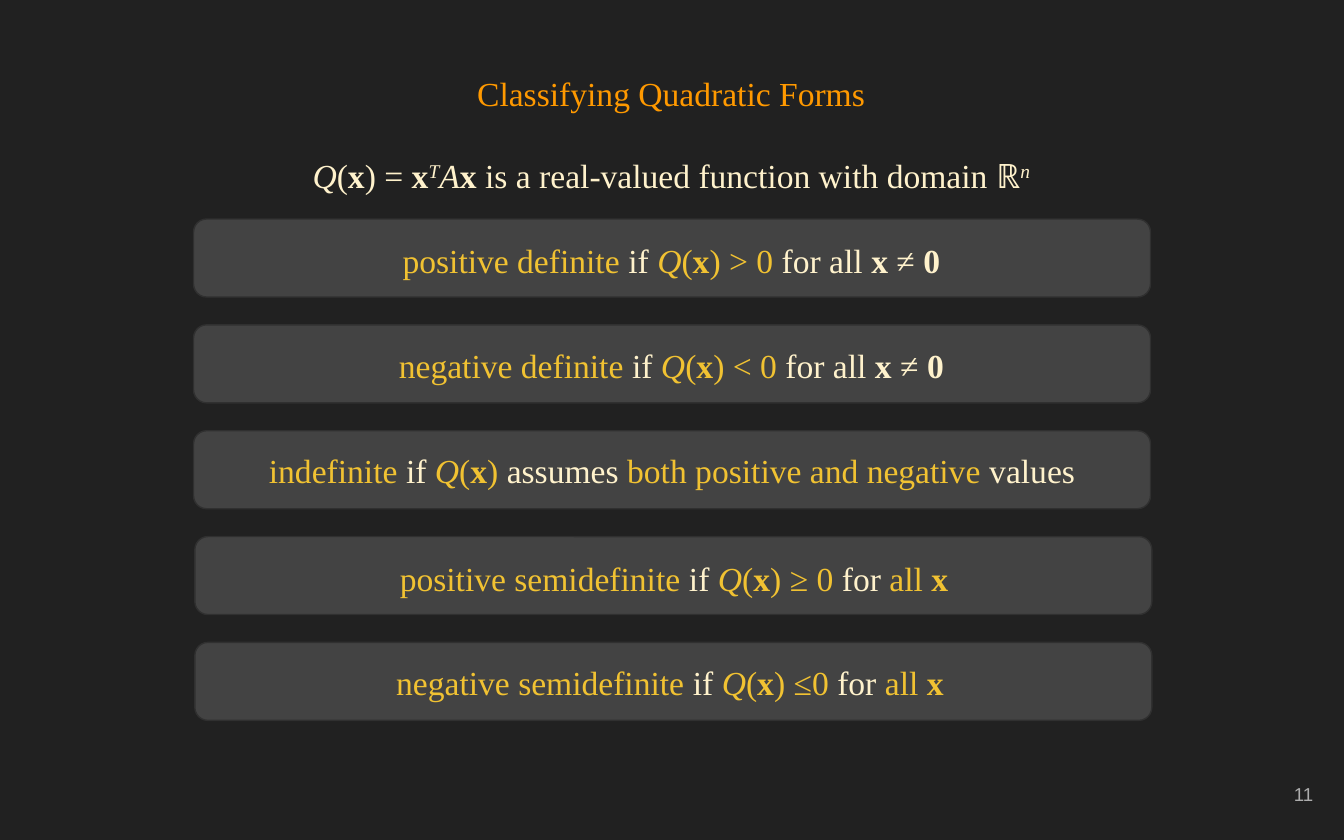
"""Build a slide that classifies quadratic forms."""
from pptx import Presentation
from pptx.dml.color import RGBColor
from pptx.enum.shapes import MSO_SHAPE
from pptx.enum.text import MSO_ANCHOR, PP_ALIGN
from pptx.util import Inches, Pt

DARK = RGBColor(0x21, 0x21, 0x21)
CARD = RGBColor(0x43, 0x43, 0x43)
EDGE = RGBColor(0x30, 0x30, 0x30)
ORANGE = RGBColor(0xFF, 0x99, 0x00)
GOLD = RGBColor(0xF1, 0xC2, 0x32)
CREAM = RGBColor(0xFF, 0xF2, 0xCC)
GRAY = RGBColor(0xAD, 0xAD, 0xAD)
SERIF = "Times New Roman"


def set_frame(shape, align, size, face, color):
    frame = shape.text_frame
    frame.word_wrap = True
    frame.margin_left = frame.margin_right = Inches(0.1)
    frame.margin_top = frame.margin_bottom = Inches(0.1)
    para = frame.paragraphs[0]
    para.alignment = align
    para.font.size = Pt(size)
    para.font.name = face
    para.font.color.rgb = color
    return frame


def add_math(shapes, left, top, width, height, parts):
    box = shapes.add_textbox(Inches(left), Inches(top), Inches(width), Inches(height))
    para = set_frame(box, PP_ALIGN.CENTER, 18, SERIF, CREAM).paragraphs[0]
    para.line_spacing = 1.15
    for text, style in parts:
        run = para.add_run()
        run.text = text
        if "g" in style:
            run.font.color.rgb = GOLD
        if "b" in style:
            run.font.bold = True
        if "i" in style:
            run.font.italic = True
        if "^" in style:
            run._r.get_or_add_rPr().set("baseline", "30000")


deck = Presentation()
deck.slide_width = Inches(10)
deck.slide_height = Inches(6.25)
slide = deck.slides.add_slide(deck.slide_layouts[5])
slide.background.fill.solid()
slide.background.fill.fore_color.rgb = DARK

title = slide.shapes.title
title.left, title.top = Inches(0.48), Inches(0.4)
title.width, title.height = Inches(9.03), Inches(0.58)
title.text = "Classifying Quadratic Forms"
frame = set_frame(title, PP_ALIGN.CENTER, 18, SERIF, ORANGE)
frame.vertical_anchor = MSO_ANCHOR.MIDDLE

form = [("Q", "gi"), ("(", "g"), ("x", "gb")]
nonzero = [(" for all ", ""), ("x", "b"), (" ≠ ", ""), ("0", "b")]
every = [("for ", ""), ("all ", "g"), ("x", "gb")]
rules = [
    (1.44, 2.72, 1.64, 4.55, "positive definite", [(") > 0", "g")] + nonzero),
    (1.44, 2.72, 2.42, 4.55, "negative definite", [(") < 0", "g")] + nonzero),
    (1.44, 1.81, 3.2, 6.38, "indefinite",
     [(")", "g"), (" assumes ", ""), ("both positive and negative", "g"), (" values", "")]),
    (1.45, 2.53, 4.01, 4.97, "positive semidefinite", [(") ≥ 0 ", "g")] + every),
    (1.45, 2.5, 4.78, 4.97, "negative semidefinite", [(") ≤0 ", "g")] + every),
]
for row, (edge, left, top, width, name, test) in enumerate(rules):
    group = slide.shapes.add_group_shape()
    card = group.shapes.add_shape(
        MSO_SHAPE.ROUNDED_RECTANGLE,
        Inches(edge), Inches(1.63 + 3.15 * row / 4), Inches(7.12), Inches(0.58))
    card.shadow.inherit = False
    card.fill.solid()
    card.fill.fore_color.rgb = CARD
    card.line.color.rgb = EDGE
    card.line.width = Pt(0.75)
    add_math(group.shapes, left, top, width, 0.58,
             [(name, "g"), (" if ", "")] + form + test)

add_math(slide.shapes, 2.05, 1.01, 5.89, 0.7, [
    ("Q", "i"), ("(", ""), ("x", "b"), (") = ", ""), ("x", "b"), ("T", "i^"),
    ("A", "i"), ("x", "b"), (" is a real-valued function with domain ℝ", ""), ("n", "i^")])

number = slide.shapes.add_textbox(Inches(9.27), Inches(5.67), Inches(0.6), Inches(0.48))
number.text_frame.text = "11"
frame = set_frame(number, PP_ALIGN.RIGHT, 10, "Arial", GRAY)
frame.vertical_anchor = MSO_ANCHOR.MIDDLE

deck.save("out.pptx")
